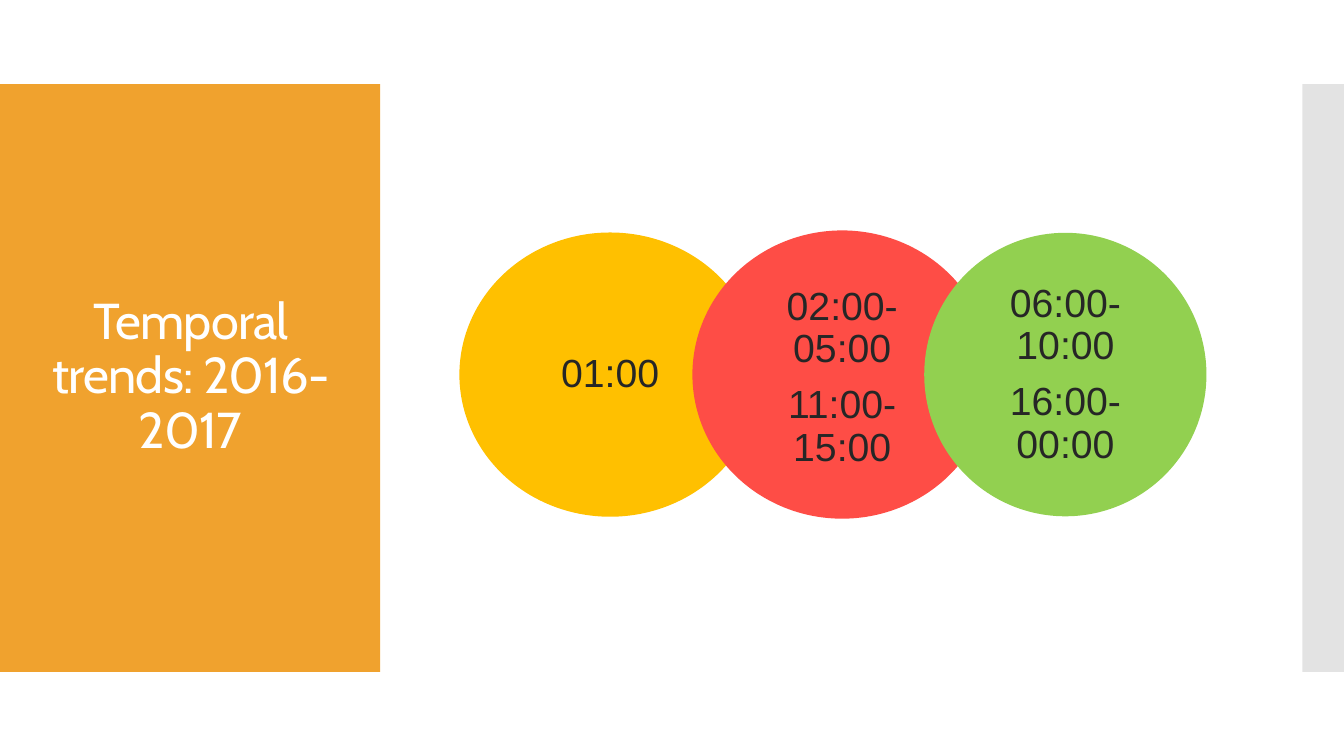
from lxml import etree
from pptx import Presentation
from pptx import util as u
from pptx.dml.color import RGBColor
from pptx.enum import shapes, text
from pptx.oxml import ns

ORANGE = RGBColor(0xF0, 0xA2, 0x2E)
GREY = RGBColor(0xC8, 0xC8, 0xC8)
AMBER = RGBColor(0xFF, 0xC0, 0x00)
RED = RGBColor(0xFE, 0x4D, 0x46)
GREEN = RGBColor(0x92, 0xD0, 0x50)
WHITE = RGBColor(0xFF, 0xFF, 0xFF)
DARK = RGBColor(0x26, 0x26, 0x26)

presentation = Presentation()
presentation.slide_width = u.Inches(13.33)
presentation.slide_height = u.Inches(7.5)
slide = presentation.slides.add_slide(presentation.slide_layouts[6])

# One column and one row are each 1 % of the slide
COLUMN = presentation.slide_width / 100
ROW = presentation.slide_height / 100


def add_filled(kind, left, top, width, height, color):
    shape = slide.shapes.add_shape(kind, int(left * COLUMN), int(top * ROW),
                                   int(width * COLUMN), int(height * ROW))
    shape.shadow.inherit = False
    shape.fill.solid()
    shape.fill.fore_color.rgb = color
    shape.line.fill.background()
    return shape


def add_text(lines, left, top, width, height, font, size, color,
             side=0.1, edge=0.05, after=0, tracking=0):
    box = slide.shapes.add_textbox(int(left * COLUMN), int(top * ROW),
                                   int(width * COLUMN), int(height * ROW))
    frame = box.text_frame
    frame.word_wrap = True
    frame.vertical_anchor = text.MSO_ANCHOR.MIDDLE
    frame.margin_left = frame.margin_right = u.Inches(side)
    frame.margin_top = frame.margin_bottom = u.Inches(edge)
    for index, line in enumerate(lines):
        paragraph = frame.paragraphs[0] if index == 0 else frame.add_paragraph()
        paragraph.alignment = text.PP_ALIGN.CENTER
        paragraph.line_spacing = 0.9
        paragraph.space_after = u.Pt(after)
        run = paragraph.add_run()
        run.text = line
        run.font.name = font
        run.font.size = u.Pt(size)
        run.font.color.rgb = color
        if tracking:
            run.font._element.set("spc", str(tracking))


# Side panels
BAND_TOP, BAND_HEIGHT = 100 / 9, 700 / 9
RECTANGLE = shapes.MSO_SHAPE.RECTANGLE
add_filled(RECTANGLE, 0, BAND_TOP, 28.28, BAND_HEIGHT, ORANGE)
edge_panel = add_filled(RECTANGLE, 96.9, BAND_TOP, 3.1, BAND_HEIGHT, GREY)
panel_color = edge_panel.fill._xPr.find(".//" + ns.qn("a:srgbClr"))
etree.SubElement(panel_color, ns.qn("a:alpha"), val="50000")

# Title
add_text(["Temporal trends: 2016-2017"], 2.1, 16.4, 24.15, 67.1,
         "Cabin", 36, WHITE, tracking=-60)

# Overlapping circles: centre, width, height, colour, text width, text middle, times
CIRCLE_MIDDLE = 49.55
TEXT_HEIGHT = 27.4
circles = [
    (45.4, 22.43, 37.6, AMBER, 18.75, 49.6, ["01:00"]),
    (62.66, 22.28, 38.13, RED, 15.45, 50, ["02:00-05:00", "11:00-15:00"]),
    (79.27, 21, 37.5, GREEN, 18.45, 49.6, ["06:00-10:00", "16:00-00:00"]),
]
for center, width, height, color, text_width, text_middle, times in circles:
    add_filled(shapes.MSO_SHAPE.OVAL, center - width / 2,
               CIRCLE_MIDDLE - height / 2, width, height, color)
    add_text(times, center - text_width / 2, text_middle - TEXT_HEIGHT / 2,
             text_width, TEXT_HEIGHT, "Arial", 28, DARK,
             side=0.26, edge=0.06, after=9.8)

presentation.save("out.pptx")
